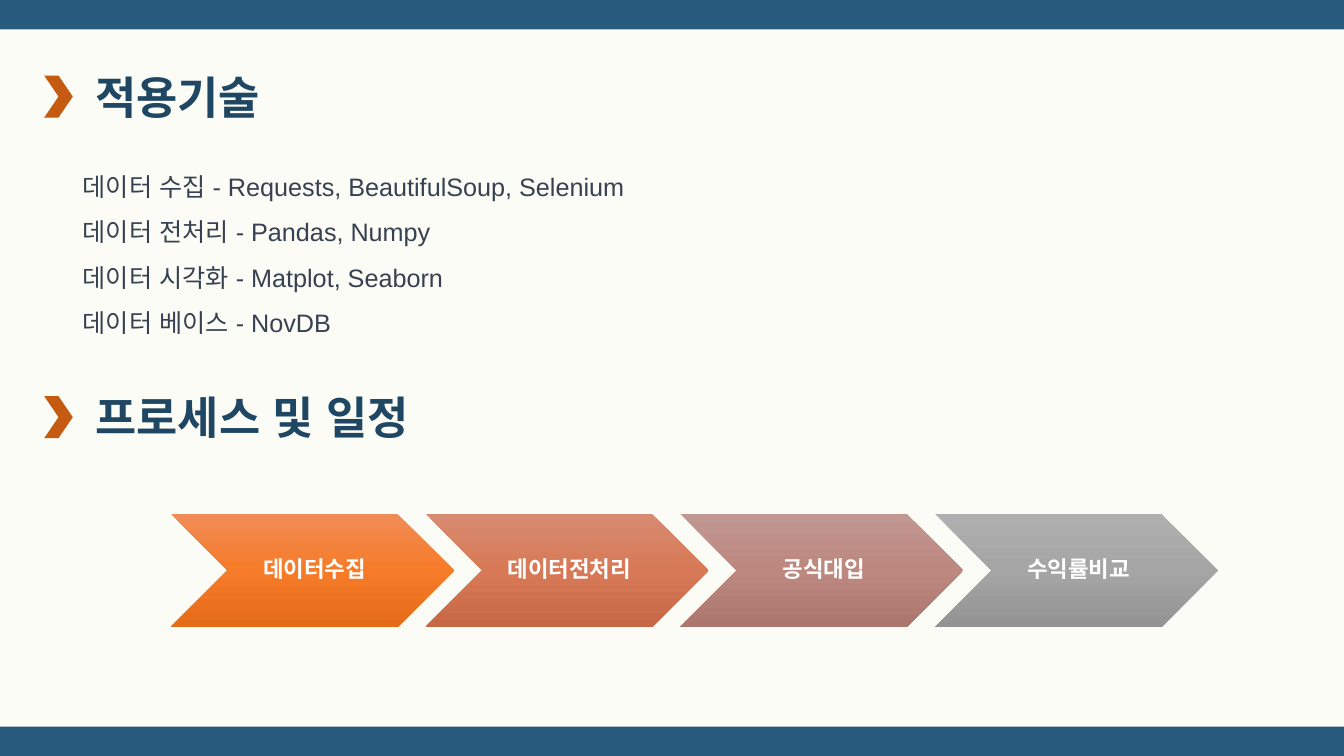
from collections import namedtuple
from copy import deepcopy
from dataclasses import dataclass

from lxml.etree import SubElement
from pptx import Presentation
from pptx.dml.color import RGBColor as Rgb
from pptx.enum.shapes import MSO_SHAPE as Kind
from pptx.enum.text import MSO_ANCHOR as Anchor, MSO_AUTO_SIZE as Fit, PP_ALIGN as Align
from pptx.oxml.ns import qn
from pptx.util import Pt

Box = namedtuple("Box", "x y w h")


@dataclass(frozen=True)
class Theme:
    back: str = "FCFCF6"
    band: str = "275A7D"
    mark: str = "C55A11"
    title: str = "1F4763"
    body: str = "374151"
    label: str = "FFFFFF"
    latin: str = "Arial"
    asian: str = "Noto Sans CJK KR"
    big: int = 32
    mid: int = 18
    small: int = 16


THEME = Theme()

SKILLS = [
    "데이터 수집 - Requests, BeautifulSoup, Selenium",
    "데이터 전처리 - Pandas, Numpy",
    "데이터 시각화 - Matplot, Seaborn",
    "데이터 베이스 - NovDB",
]

STEPS = [
    ("데이터수집", ("F18C57", "F67B28", "E56C19")),
    ("데이터전처리", ("D78B72", "D77956", "C66846")),
    ("공식대입", ("C19791", "BC8880", "AA766E")),
    ("수익률비교", ("AFAFAF", "A5A5A5", "939393")),
]


def points(box):
    return [Pt(side) for side in box]


def add_text(shapes, box, lines, *, size, color, font=THEME.latin, bold=False,
             align=Align.LEFT, anchor=Anchor.TOP, space=1.0, wrap=True,
             fit=Fit.NONE, inset=(7.2, 3.6, 7.2, 3.6)):
    item = shapes.add_textbox(*points(box))
    frame = item.text_frame
    frame.word_wrap = wrap
    frame.auto_size = fit
    frame.vertical_anchor = anchor
    (frame.margin_left, frame.margin_top,
     frame.margin_right, frame.margin_bottom) = map(Pt, inset)
    frame.text = "\n".join(lines)
    for para in frame.paragraphs:
        para.alignment = align
        para.line_spacing = space
        for run in para.runs:
            run.font.name = font
            run.font.size = Pt(size)
            run.font.bold = bold
            run.font.color.rgb = Rgb.from_string(color)
            east = SubElement(run.font._element, qn("a:ea"))
            east.set("typeface", font)


def add_form(shapes, kind, box, colors):
    form = shapes.add_shape(kind, *points(box))
    form.shadow.inherit = False
    form.line.fill.background()
    if len(colors) == 1:
        form.fill.solid()
        form.fill.fore_color.rgb = Rgb.from_string(colors[0])
        return
    form.fill.gradient()
    form.fill.gradient_angle = 270
    stops = form._element.spPr.find(".//" + qn("a:gsLst"))
    while len(stops) < len(colors):
        stops.append(deepcopy(stops[0]))
    for i, (stop, color) in enumerate(zip(form.fill.gradient_stops, colors)):
        stop.position = i / (len(colors) - 1)
        stop.color.rgb = Rgb.from_string(color)


def add_bands(shapes, box, depth=21):
    for y in (box.y, box.y + box.h - depth):
        add_form(shapes, Kind.RECTANGLE, Box(box.x, y, box.w, depth), [THEME.band])


def add_head(shapes, box, text):
    mark = Box(box.x, box.y + 8, 20.4, 30)
    add_form(shapes, Kind.CHEVRON, mark, [THEME.mark])
    room = Box(box.x + mark.w, box.y, box.w - mark.w, box.h)
    add_text(shapes, room, [text], size=THEME.big, color=THEME.title, bold=True,
             wrap=False, fit=Fit.SHAPE_TO_FIT_TEXT, inset=(16, 3.6, 7.2, 3.6))


def add_skills(shapes, box):
    add_text(shapes, box, SKILLS, size=THEME.mid, color=THEME.body, space=1.5,
             fit=Fit.SHAPE_TO_FIT_TEXT)


def add_steps(shapes, box, lap=20.2):
    group = shapes.add_group_shape().shapes
    count = len(STEPS)
    wide = (box.w + lap * (count - 1)) / count
    notch = box.h / 2
    for i, (text, colors) in enumerate(STEPS):
        cell = Box(box.x + i * (wide - lap), box.y, wide, box.h)
        add_form(group, Kind.CHEVRON, cell, colors)
        room = Box(cell.x + notch, cell.y, wide - box.h, box.h)
        add_text(group, room, [text], size=THEME.small, color=THEME.label,
                 font=THEME.asian, bold=True, align=Align.CENTER,
                 anchor=Anchor.MIDDLE, space=0.9, inset=(5, 1.7, 1.7, 1.7))


def main():
    deck = Presentation()
    deck.slide_width, deck.slide_height = Pt(960), Pt(540)
    slide = deck.slides.add_slide(deck.slide_layouts[6])
    slide.background.fill.solid()
    slide.background.fill.fore_color.rgb = Rgb.from_string(THEME.back)
    shapes = slide.shapes
    add_bands(shapes, Box(0, 0, 960, 540))
    add_head(shapes, Box(31.6, 46, 175, 46), "적용기술")
    add_skills(shapes, Box(52, 108, 780, 134))
    add_head(shapes, Box(31.6, 275, 295, 46), "프로세스 및 일정")
    add_steps(shapes, Box(122, 367, 748, 81))
    deck.save("out.pptx")


if __name__ == "__main__":
    main()
